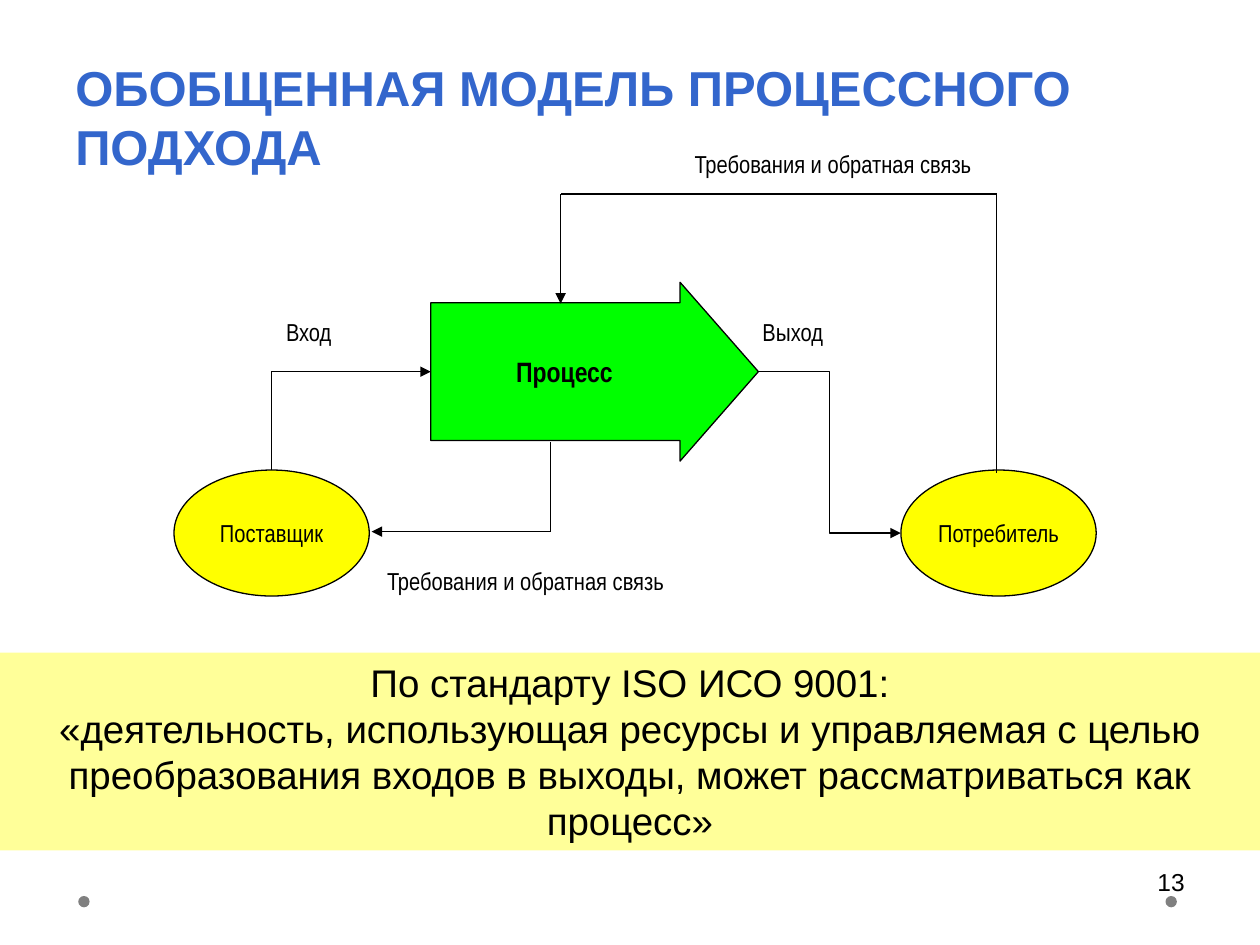
from dataclasses import dataclass
from itertools import pairwise

from lxml.etree import SubElement
from pptx import Presentation
from pptx.dml.color import RGBColor
from pptx.enum.shapes import MSO_CONNECTOR as Link, MSO_SHAPE as Shape
from pptx.enum.text import MSO_ANCHOR as Anchor, PP_ALIGN as Align
from pptx.oxml.ns import qn
from pptx.util import Pt


@dataclass(frozen=True)
class Theme:
    title: str = "3366CC"
    ink: str = "000000"
    band: str = "FFFF99"
    process: str = "00FF00"
    party: str = "FFFF00"
    dot: str = "808080"
    font: str = "Arial"
    narrow: str = "Arial Narrow"
    title_size: int = 28
    band_size: int = 22
    process_size: int = 16
    small_size: int = 14


THEME = Theme()


def write(sp, text, size, font=THEME.font, color=THEME.ink, bold=False,
          align=Align.LEFT, anchor=Anchor.TOP, wrap=True):
    tf = sp.text_frame
    tf.text = text
    tf.word_wrap = wrap
    tf.vertical_anchor = anchor
    for p in tf.paragraphs:
        p.alignment = align
        for r in p.runs:
            r.font.name, r.font.size, r.font.bold = font, Pt(size), bold
            r.font.color.rgb = RGBColor.from_string(color)


def add_text(s, box, text, size, **style):
    write(s.shapes.add_textbox(*map(Pt, box)), text, size, **style)


def add_filled(s, kind, box, fill, outlined=False):
    sp = s.shapes.add_shape(kind, *map(Pt, box))
    sp.shadow.inherit = False
    sp.fill.solid()
    sp.fill.fore_color.rgb = RGBColor.from_string(fill)
    if outlined:
        sp.line.color.rgb = RGBColor.from_string(THEME.ink)
        sp.line.width = Pt(0.75)
    else:
        sp.line.fill.background()
    return sp


def add_link(s, start, end, kind=Link.STRAIGHT, arrow=True):
    cx = s.shapes.add_connector(kind, *map(Pt, (*start, *end)))
    cx.line.color.rgb = RGBColor.from_string(THEME.ink)
    cx.line.width = Pt(0.75)
    if arrow:
        SubElement(cx.line._get_or_add_ln(), qn("a:tailEnd"), type="triangle")
    SubElement(cx._element.spPr, qn("a:effectLst"))
    return cx


def bend_once(cx):
    """Turn an elbow that rises to the right into a single corner: up, then right."""
    width, height = cx.width, cx.height
    cx.left += (width - height) // 2
    cx.top -= (width - height) // 2
    cx.width, cx.height = height, width
    xfrm = cx._element.spPr.find(qn("a:xfrm"))
    for name, value in (("rot", "5400000"), ("flipH", "1"), ("flipV", "1")):
        xfrm.set(name, value)
    cx._element.spPr.find(qn("a:prstGeom")).set("prst", "bentConnector2")


def add_route(s, points):
    """Straight segments through the points, with an arrowhead on the last."""
    for start, end in pairwise(points):
        add_link(s, start, end, arrow=end == points[-1])


def add_diagram(s, left, top):
    def at(x, y):
        return left + x, top + y

    oval_w, oval_h, oval_y = 111.6, 72, 187.2
    consumer_x = 415.4
    arrow_x, arrow_y, arrow_w, arrow_h = 146.8, 79.9, 187.2, 102.2
    mid_y = arrow_y + arrow_h / 2
    centred = dict(font=THEME.narrow, align=Align.CENTER, anchor=Anchor.MIDDLE,
                   wrap=False)

    process = add_filled(s, Shape.RIGHT_ARROW,
                         (*at(arrow_x, arrow_y), arrow_w, arrow_h),
                         THEME.process, outlined=True)
    process.adjustments[0], process.adjustments[1] = 0.77, 0.438
    write(process, "Процесс", THEME.process_size, bold=True, **centred)

    for x, name in ((0, "Поставщик"), (consumer_x, "Потребитель")):
        oval = add_filled(s, Shape.OVAL, (*at(x, oval_y), oval_w, oval_h),
                          THEME.party, outlined=True)
        write(oval, name, THEME.small_size, **centred)

    bend_once(add_link(s, at(oval_w / 2, oval_y), at(arrow_x, mid_y), Link.ELBOW))
    add_link(s, at(arrow_x + arrow_w, mid_y),
             at(consumer_x, oval_y + oval_h / 2), Link.ELBOW)

    feedback = "Требования и обратная связь"
    for x, y, width, text in ((56.1, 96.4, 41, "Вход"),
                              (329, 96.4, 49, "Выход"),
                              (288.7, 0, 174.2, feedback),
                              (113, 238.3, 174.2, feedback)):
        add_text(s, (*at(x, y), width, 24.5), text, THEME.small_size,
                 font=THEME.narrow, align=Align.RIGHT, wrap=False)

    add_route(s, [at(470.1, 188.6), at(470.1, 29.5), at(221, 29.5), at(221, 92.1)])
    add_route(s, [at(215.2, 171.3), at(215.2, 222.4), at(113, 222.4)])


def add_definition(s, box):
    band = add_filled(s, Shape.RECTANGLE, box, THEME.band)
    write(band, "По стандарту ISO ИСО 9001:\n«деятельность, использующая ресурсы "
          "и управляемая с целью преобразования входов в выходы, может "
          "рассматриваться как процесс»", THEME.band_size, align=Align.CENTER)


def add_footer(s, left, top, width):
    dot = 6.5
    for x in (left, left + width - dot):
        add_filled(s, Shape.OVAL, (x, top + 20.2, dot, dot), THEME.dot)
    add_text(s, (left + width - 156.2, top, 167.8, 37.4), "13",
             THEME.small_size, align=Align.RIGHT)


def main():
    prs = Presentation()
    prs.slide_width, prs.slide_height = Pt(720), Pt(540)
    s = prs.slides.add_slide(prs.slide_layouts[6])
    add_footer(s, 44.7, 491.8, 627.8)
    add_text(s, (36, 21.6, 648, 90), "ОБОБЩЕННАЯ МОДЕЛЬ ПРОЦЕССНОГО ПОДХОДА",
             THEME.title_size, color=THEME.title, bold=True, anchor=Anchor.MIDDLE)
    add_definition(s, (0, 373, 720, 113))
    add_diagram(s, 99.4, 81.4)
    prs.save("out.pptx")


if __name__ == "__main__":
    main()
